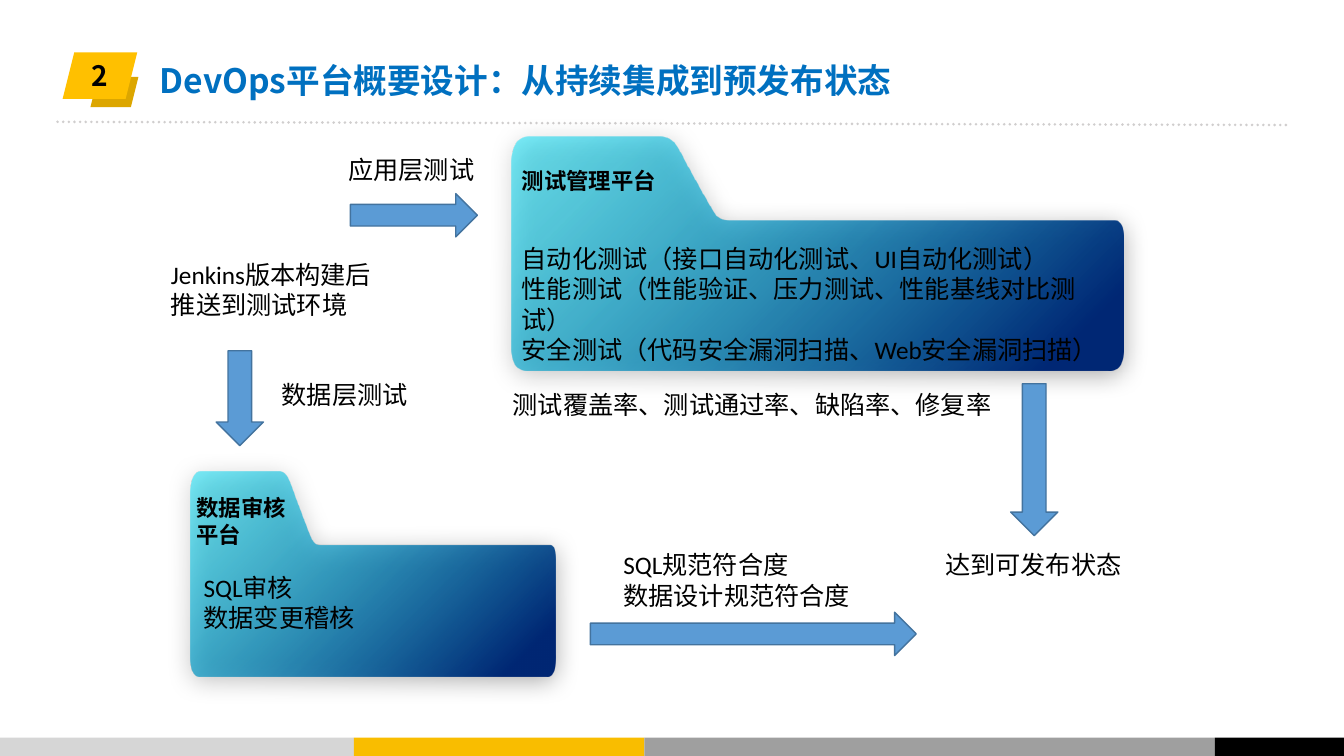
from dataclasses import dataclass

from lxml.etree import SubElement
from pptx import Presentation
from pptx.dml.color import RGBColor
from pptx.enum.dml import MSO_LINE
from pptx.enum.shapes import MSO_CONNECTOR, MSO_SHAPE as Preset
from pptx.enum.text import MSO_ANCHOR, MSO_AUTO_SIZE, PP_ALIGN
from pptx.oxml.ns import qn
from pptx.util import Cm, Pt


@dataclass(frozen=True)
class Theme:
    """Colours, fonts and type sizes of the slide."""

    black: str = "000000"
    title: str = "0070C0"
    gold: str = "FFC000"
    dark_gold: str = "DCA600"
    rule: str = "D0CECE"
    arrow: str = "5B9BD5"
    arrow_edge: str = "43739E"
    folder_light: str = "00DFF6"
    folder_dark: str = "002774"
    footer: tuple = ("D6D6D6", "F9BD00", "9F9F9F", "000000")
    heading_font: str = "Noto Sans CJK SC"
    body_font: str = "Calibri"
    title_size: int = 24
    number_size: int = 20
    body_size: int = 18
    label_size: int = 16


THEME = Theme()
FOOTER_WIDTHS = (8.92, 7.32, 14.38, 3.25)
FOLDER_GRID = 1000
FOLDER_START = (982, 356)
FOLDER_CURVES = (
    ((668, 356), (355, 356), (355, 356)),
    ((344, 356), (336, 347), (329, 318)),
    ((304, 208), (281, 97), (281, 97)),
    ((273, 59), (265, 4), (243, 4)),
    ((135, 4), (28, 4), (28, 4)),
    ((10, 4), (0, 51), (0, 108)),
    ((0, 500), (0, 894), (0, 894)),
    ((0, 996), (28, 987), (28, 987)),
    ((500, 987), (972, 987), (972, 987)),
    ((972, 987), (1000, 1000), (998, 877)),
    ((998, 657), (998, 436), (998, 436)),
    ((998, 436), (1000, 356), (982, 356)),
)
FOLDERS = ((4.8, 11.86, 9.22, 5.26), (12.9, 3.42, 15.44, 5.99))
ARROWS = (
    (Preset.RIGHT_ARROW, (8.83, 4.88, 3.2, 1.09)),
    (Preset.RIGHT_ARROW, (14.88, 15.43, 8.21, 1.09)),
    (Preset.DOWN_ARROW, (5.45, 8.84, 1.19, 2.39)),
    (Preset.DOWN_ARROW, (25.47, 9.67, 1.19, 3.83)),
)
FOLDER_LABELS = (
    ((12.9, 4.09, 3.94, 0.94), ("测试管理平台",)),
    ((4.7, 12.32, 2.82, 1.63), ("数据审核", "平台")),
)
SHORT_NOTES = (
    ((8.53, 3.76, 3.71, 1.02), ("应用层测试",)),
    ((6.85, 9.44, 3.71, 1.02), ("数据层测试",)),
    ((23.57, 13.72, 5.0, 1.02), ("达到可发布状态",)),
    ((4.88, 14.3, 4.37, 1.8), ("SQL审核", "数据变更稽核")),
)
WRAPPED_NOTES = (
    ((4.06, 6.4, 5.92, 1.8), ("Jenkins版本构建后推送到测试环境",)),
    ((12.9, 6.01, 15.44, 2.57), (
        "自动化测试（接口自动化测试、UI自动化测试）",
        "性能测试（性能验证、压力测试、性能基线对比测试）",
        "安全测试（代码安全漏洞扫描、Web安全漏洞扫描）",
    )),
    ((12.67, 9.68, 13.92, 1.02), ("测试覆盖率、测试通过率、缺陷率、修复率",)),
    ((15.46, 13.73, 6.32, 1.8), ("SQL规范符合度", "数据设计规范符合度")),
)


def add_run(paragraph, words, size, color=THEME.black, font=THEME.body_font, bold=False):
    """Append a run whose Latin and East Asian fonts agree."""
    run = paragraph.add_run()
    run.text = words
    run.font.size, run.font.bold, run.font.name = Pt(size), bold, font
    run.font.color.rgb = RGBColor.from_string(color)
    SubElement(run.font._element, qn("a:ea"), typeface=font)


def add_text(slide, box, lines, size, wrap=True, **style):
    """Add a text box with one paragraph per line."""
    frame = slide.shapes.add_textbox(*map(Cm, box)).text_frame
    frame.word_wrap = wrap
    frame.auto_size = MSO_AUTO_SIZE.SHAPE_TO_FIT_TEXT
    for index, words in enumerate(lines):
        paragraph = frame.add_paragraph() if index else frame.paragraphs[0]
        add_run(paragraph, words, size, **style)


def add_block(slide, preset, box, fill, edge=None):
    """Add a flat preset shape with an optional outline."""
    block = slide.shapes.add_shape(preset, *map(Cm, box))
    block.shadow.inherit = False
    block.fill.solid()
    block.fill.fore_color.rgb = RGBColor.from_string(fill)
    if edge:
        block.line.color.rgb = RGBColor.from_string(edge)
        block.line.width = Pt(1)
    else:
        block.line.fill.background()
    return block


def add_outline(slide, left, top, width, height):
    """Add the folder outline, drawn with cubic curves on a square grid."""
    scale = (Cm(width) / FOLDER_GRID, Cm(height) / FOLDER_GRID)
    builder = slide.shapes.build_freeform(0, 0, scale=scale)
    corners = ((FOLDER_GRID, 0), (FOLDER_GRID, FOLDER_GRID), (0, FOLDER_GRID))
    builder.add_line_segments(corners, close=False)
    folder = builder.convert_to_shape(Cm(left), Cm(top))
    path = folder._element.spPr.xpath(".//a:path")[0]
    for corner in list(path):
        path.remove(corner)
    path.set("w", str(FOLDER_GRID))
    path.set("h", str(FOLDER_GRID))
    moves = [("a:moveTo", (FOLDER_START,))]
    moves += [("a:cubicBezTo", curve) for curve in FOLDER_CURVES]
    for tag, points in moves:
        move = SubElement(path, qn(tag))
        for x, y in points:
            SubElement(move, qn("a:pt"), x=str(x), y=str(y))
    SubElement(path, qn("a:close"))
    return folder


def add_folder(slide, box):
    """Add a folder with a diagonal gradient and a soft shadow."""
    folder = add_outline(slide, *box)
    folder.line.fill.background()
    folder.fill.gradient()
    folder.fill.gradient_angle = 315
    stops = ((0, THEME.folder_light), (0.9, THEME.folder_dark))
    for stop, (position, color) in zip(folder.fill.gradient_stops, stops):
        stop.position = position
        stop.color.rgb = RGBColor.from_string(color)
    properties = folder._element.spPr
    SubElement(properties.xpath(".//a:srgbClr")[0], qn("a:alpha"), val="50000")
    folder.shadow.inherit = False
    shadow = SubElement(properties.find(qn("a:effectLst")), qn("a:outerShdw"),
                        blurRad=str(Pt(17.8)), dist=str(Pt(3)), dir=str(87 * 60000),
                        algn="t", rotWithShape="0")
    shade = SubElement(shadow, qn("a:srgbClr"), val=THEME.black)
    SubElement(shade, qn("a:alpha"), val="33000")


def add_footer(slide):
    """Add the coloured strip along the bottom edge."""
    left = 0
    for width, color in zip(FOOTER_WIDTHS, THEME.footer):
        add_block(slide, Preset.RECTANGLE, (left, 18.59, width, 0.46), color)
        left += width


def add_header(slide):
    """Add the dotted rule, the section number and the title."""
    rule = slide.shapes.add_connector(
        MSO_CONNECTOR.STRAIGHT, *map(Cm, (1.45, 3.07, 32.46, 3.15)))
    rule.line.color.rgb = RGBColor.from_string(THEME.rule)
    rule.line.width = Pt(2)
    rule.line.dash_style = MSO_LINE.ROUND_DOT
    rule._element.spPr.find(qn("a:ln")).set("cap", "rnd")
    SubElement(rule._element.spPr, qn("a:effectLst"))
    add_block(slide, Preset.PARALLELOGRAM, (2.28, 1.94, 1.21, 0.76), THEME.dark_gold)
    badge = add_block(slide, Preset.PARALLELOGRAM, (1.58, 1.32, 1.88, 1.17), THEME.gold)
    frame = badge.text_frame
    frame.margin_left = frame.margin_right = frame.margin_top = frame.margin_bottom = 0
    frame.vertical_anchor = MSO_ANCHOR.MIDDLE
    frame.word_wrap = False
    frame.paragraphs[0].alignment = PP_ALIGN.CENTER
    add_run(frame.paragraphs[0], "2", THEME.number_size, font=THEME.heading_font, bold=True)
    add_text(slide, (3.78, 1.39, 23.72, 3.33), ("DevOps平台概要设计：从持续集成到预发布状态",),
             THEME.title_size, color=THEME.title, font=THEME.heading_font, bold=True)


def main():
    """Build the slide and save it."""
    deck = Presentation()
    deck.slide_width, deck.slide_height = Cm(33.87), Cm(19.05)
    slide = deck.slides.add_slide(deck.slide_layouts[6])
    add_footer(slide)
    add_header(slide)
    for box in FOLDERS:
        add_folder(slide, box)
    for preset, box in ARROWS:
        add_block(slide, preset, box, THEME.arrow, THEME.arrow_edge)
    for box, lines in FOLDER_LABELS:
        add_text(slide, box, lines, THEME.label_size, wrap=False, bold=True)
    for box, lines in SHORT_NOTES:
        add_text(slide, box, lines, THEME.body_size, wrap=False)
    for box, lines in WRAPPED_NOTES:
        add_text(slide, box, lines, THEME.body_size)
    deck.save("out.pptx")


if __name__ == "__main__":
    main()
